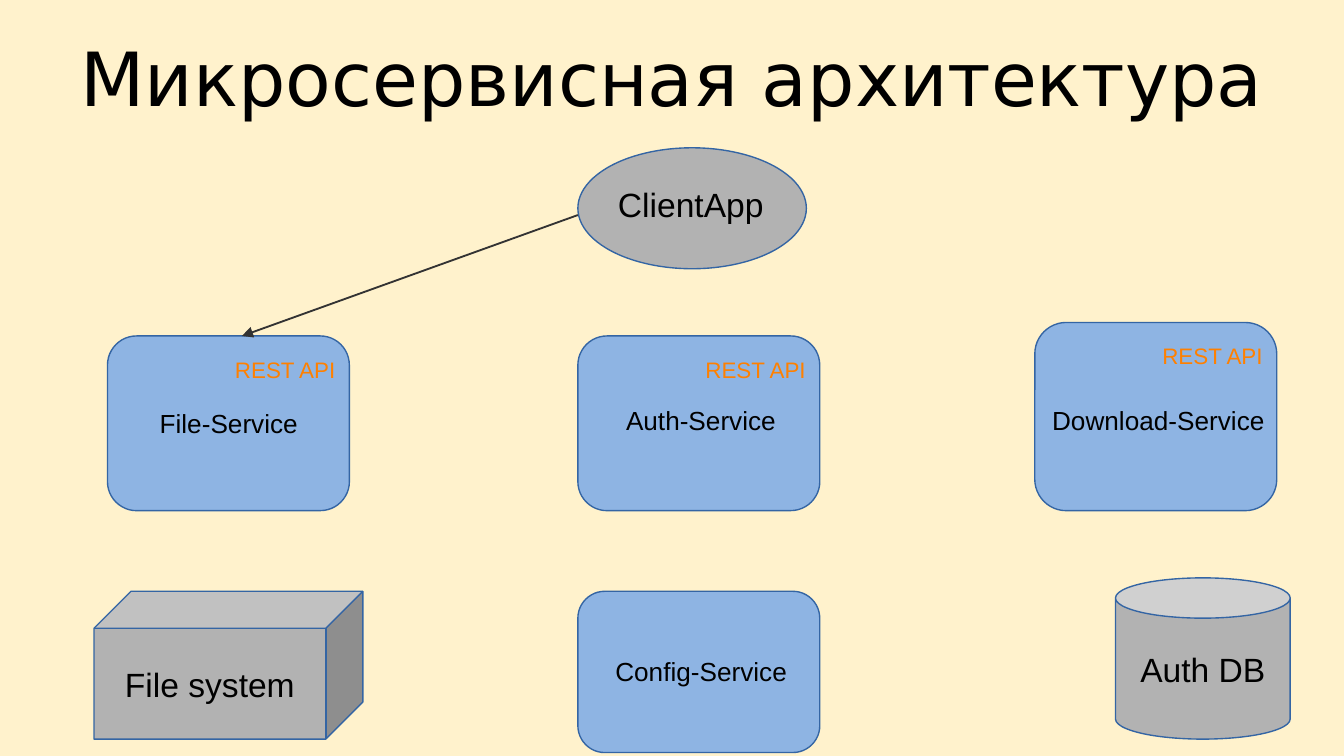
from lxml.etree import SubElement
from pptx import Presentation
from pptx.dml.color import RGBColor
from pptx.enum.shapes import MSO_CONNECTOR as Connector, MSO_SHAPE as Preset
from pptx.enum.text import MSO_ANCHOR as Anchor, MSO_AUTO_SIZE as AutoSize, PP_ALIGN as Align
from pptx.oxml.ns import qn
from pptx.util import Pt

CREAM = RGBColor(0xFF, 0xF2, 0xCC)
GREY = RGBColor(0xB2, 0xB2, 0xB2)
BLUE = RGBColor(0x8E, 0xB4, 0xE3)
OUTLINE = RGBColor(0x34, 0x65, 0xA4)
DARK = RGBColor(0x33, 0x33, 0x33)
ORANGE = RGBColor(0xFF, 0x80, 0x00)
BLACK = RGBColor(0, 0, 0)

TAG_WIDTH, TAG_HEIGHT, TAG_DROP = 68.4, 21.6, 7.2

# Service name, box (left, top, width, height), label (left, top, width), has REST API
SERVICES = [
    ("File-Service", (57.6, 180, 129.6, 93.6), (78.48, 214.56, 115.2), True),
    ("Auth-Service", (309.6, 180, 129.6, 93.6), (328.32, 213.12, 103.68), True),
    ("Download-Service", (554.4, 172.8, 129.6, 100.8), (556.56, 213.12, 129.6), True),
    ("Config-Service", (309.6, 316.8, 129.6, 86.4), (322.56, 347.76, 115.2), False),
]
STORES = [
    ("Auth DB", Preset.CAN, (597.6, 309.6, 93.6, 86.4)),
    ("File system", Preset.CUBE, (50.4, 316.8, 144, 79.2)),
]


def write(box, text, size, font="Arial", color=BLACK, align=Align.LEFT, **frame_format):
    frame = box.text_frame
    for name, value in frame_format.items():
        setattr(frame, name, value)
    para = frame.paragraphs[0]
    para.alignment = align
    span = para.add_run()
    span.text = text
    for name, value in {"size": Pt(size), "name": font, "bold": False}.items():
        setattr(span.font, name, value)
    span.font.color.rgb = color


def add_title(page, text):
    title = page.shapes.title
    place = {"left": 0, "top": -1.44, "width": 720, "height": 84.96}
    for name, value in place.items():
        setattr(title, name, Pt(value))
    write(title, text, 40, "DejaVu Sans", word_wrap=True,
          auto_size=AutoSize.NONE, vertical_anchor=Anchor.MIDDLE)


def add_label(page, text, left, top, width, height, size, color=BLACK):
    box = page.shapes.add_textbox(Pt(left), Pt(top), Pt(width), Pt(height))
    write(box, text, size, color=color, word_wrap=True,
          auto_size=AutoSize.SHAPE_TO_FIT_TEXT)


def add_figure(page, preset, place, fill):
    figure = page.shapes.add_shape(preset, *map(Pt, place))
    figure.shadow.inherit = False
    figure.fill.solid()
    figure.fill.fore_color.rgb = fill
    figure.line.color.rgb = OUTLINE
    figure.line.width = Pt(0.75)
    return figure


def add_service(page, name, place, label_place, has_api):
    add_figure(page, Preset.ROUNDED_RECTANGLE, place, BLUE)
    add_label(page, name, *label_place, 23.76, 14)
    if has_api:
        left, top, width, _ = place
        add_label(page, "REST API", left + width - TAG_WIDTH, top + TAG_DROP,
                  TAG_WIDTH, TAG_HEIGHT, 12, ORANGE)


def add_store(page, name, preset, place):
    store = add_figure(page, preset, place, GREY)
    store.adjustments[0] = 0.25
    write(store, name, 18, align=Align.CENTER, word_wrap=False,
          vertical_anchor=Anchor.MIDDLE)


def add_arrow(page, start, end):
    arrow = page.shapes.add_connector(Connector.STRAIGHT, *map(Pt, start + end))
    arrow.line.color.rgb = DARK
    arrow.line.width = Pt(1)
    SubElement(arrow.line._get_or_add_ln(), qn("a:tailEnd"), type="triangle")
    SubElement(arrow._element.spPr, qn("a:effectLst"))


def main():
    deck = Presentation()
    deck.slide_width, deck.slide_height = Pt(720), Pt(405)
    page = deck.slides.add_slide(deck.slide_layouts[5])
    page.background.fill.solid()
    page.background.fill.fore_color.rgb = CREAM
    add_title(page, "\tМикросервисная архитектура")

    # Client
    add_figure(page, Preset.OVAL, (309.6, 79.2, 122.4, 64.8), GREY)
    add_label(page, "ClientApp", 324, 95.04, 97.92, 28.8, 18)

    # Services and the call from the client
    for service in SERVICES:
        add_service(page, *service)
    add_arrow(page, (309.6, 115.2), (129.6, 180))

    # Storage
    for store in STORES:
        add_store(page, *store)

    deck.save("out.pptx")


main()
